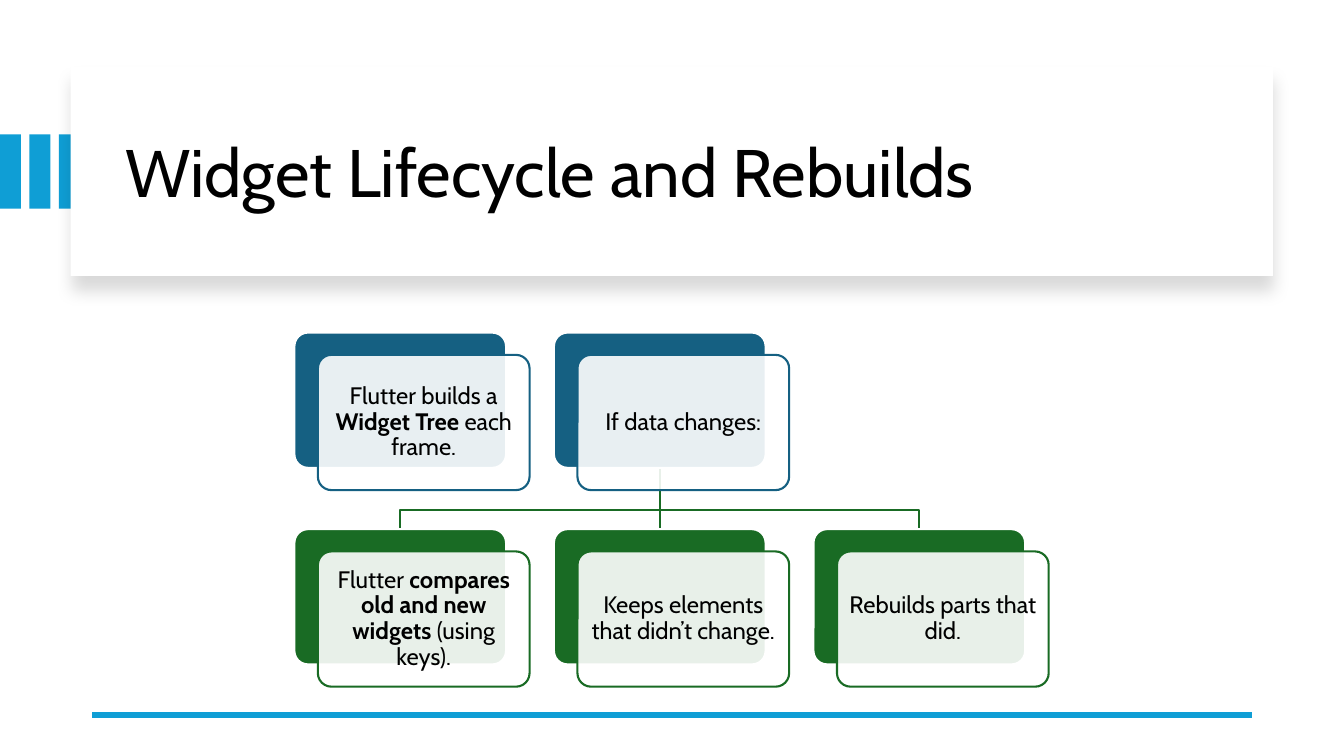
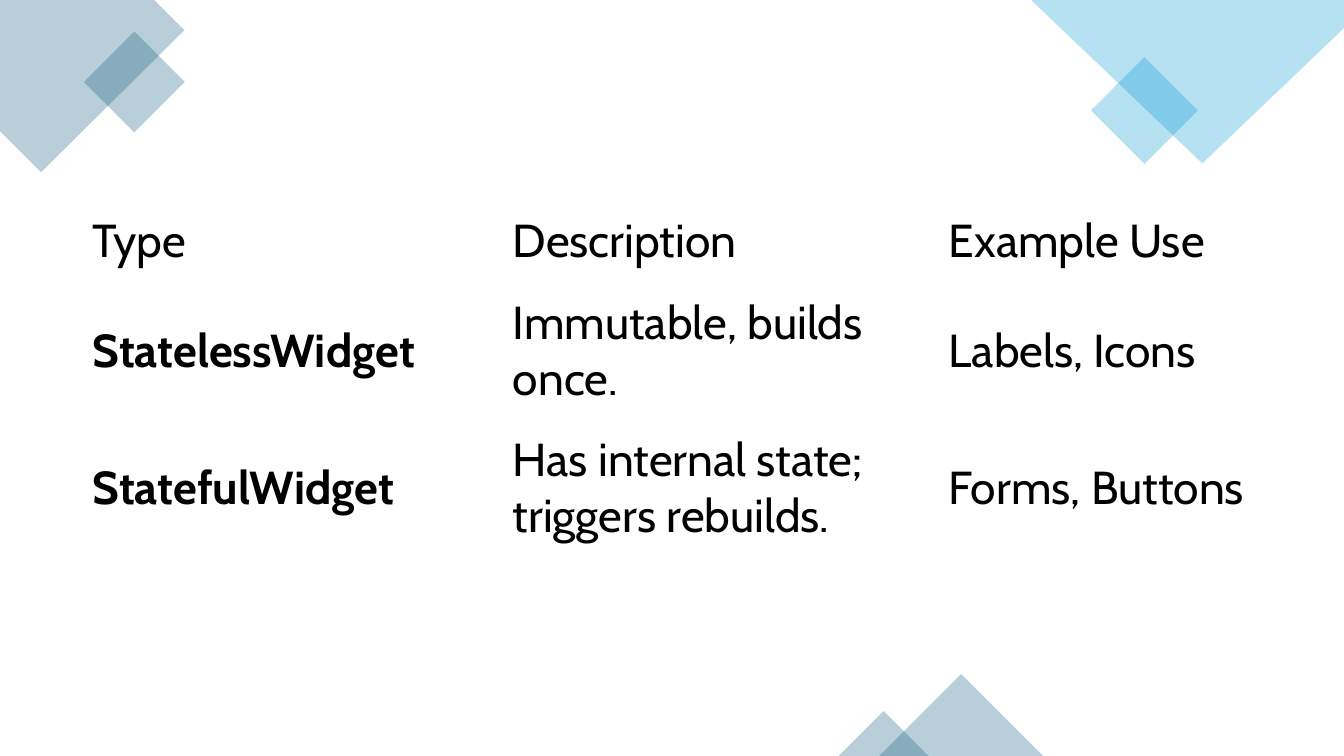
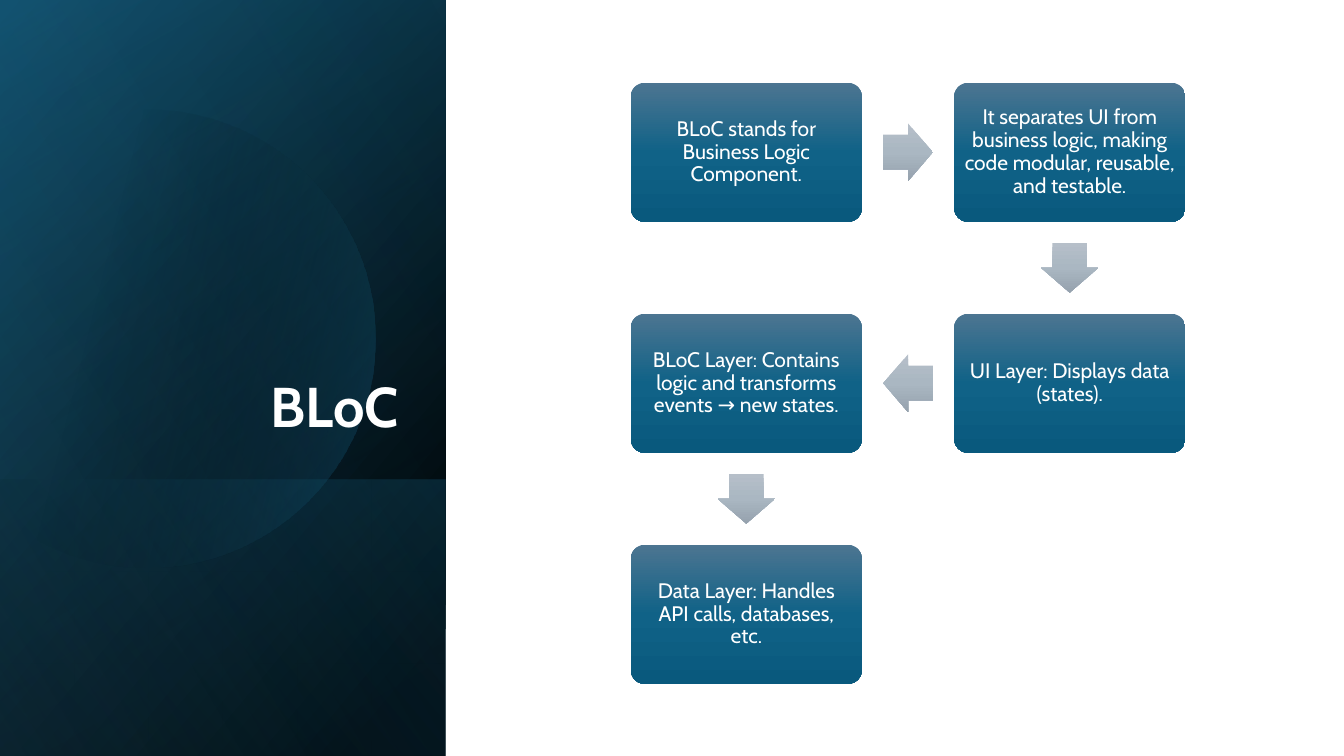
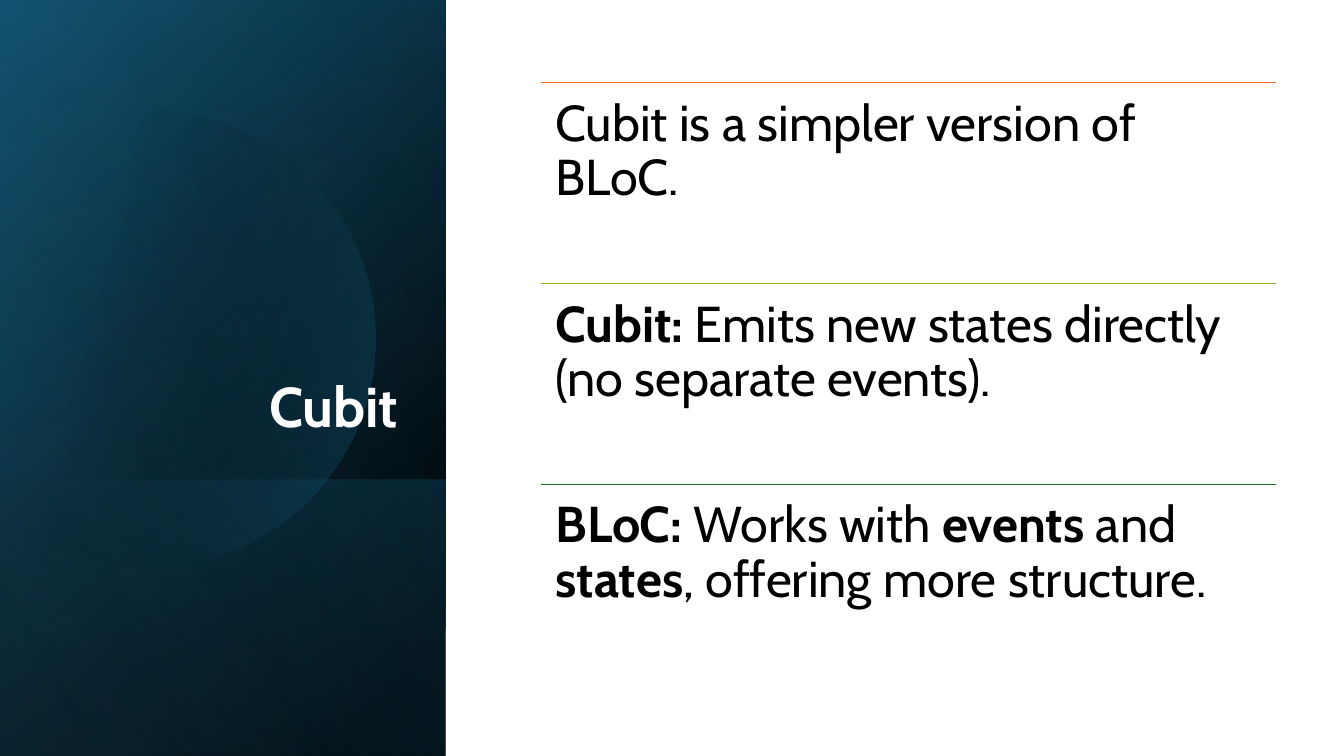
from itertools import pairwise
from math import acos, cos, pi, sin

from pptx import Presentation
from pptx.dml.color import RGBColor as Color
from pptx.enum.shapes import MSO_CONNECTOR as Connector, MSO_SHAPE as Shape
from pptx.enum.text import MSO_ANCHOR as Anchor, PP_ALIGN as Align
from pptx.oxml import parse_xml
from pptx.oxml.ns import nsdecls, qn
from pptx.util import Inches, Pt

WIDTH, HEIGHT = Inches(13.333), Inches(7.5)
COLUMNS, ROWS = 32, 18
FONT = "Cabin"
COLORS = {
    "black": "000000",
    "white": "FFFFFF",
    "sky": "0F9ED5",
    "pale sky": "46B1E1",
    "teal": "156082",
    "deep teal": "104862",
    "green": "196B24",
    "lime": "8EB21E",
    "orange": "E97132",
    "box top": "4C7591",
    "box middle": "106287",
    "box bottom": "09597D",
    "arrow top": "B6BFC9",
    "arrow middle": "AAB7C2",
    "arrow bottom": "96A2AE",
}
BOX_GRADIENT = ([(0, "box top", 100), (50, "box middle", 100), (100, "box bottom", 100)], 90)
ARROW_GRADIENT = ([(0, "arrow top", 100), (50, "arrow middle", 100), (100, "arrow bottom", 100)], 90)


def write(frame, text, size=17, color="black", align=Align.LEFT, bold=False, spacing=0.9):
    """Write one paragraph, with the parts between double asterisks in bold."""
    paragraph = frame.paragraphs[0]
    paragraph.alignment = align
    paragraph.line_spacing = spacing
    for index, part in enumerate(text.split("**")):
        if part:
            run = paragraph.add_run()
            run.text = part
            run.font.name = FONT
            run.font.size = Pt(size)
            run.font.bold = bold or index % 2 == 1
            run.font.color.rgb = Color.from_string(COLORS[color])


class Deck:
    """Holds the style, the grid and the current slide."""

    def __init__(self):
        self.presentation = Presentation()
        self.presentation.slide_width = WIDTH
        self.presentation.slide_height = HEIGHT
        self.slide = None

    def new_slide(self):
        """Start a slide on the blank layout."""
        self.slide = self.presentation.slides.add_slide(self.presentation.slide_layouts[6])

    def x(self, columns):
        """Turn grid columns into a length."""
        return round(columns * WIDTH / COLUMNS)

    def y(self, rows):
        """Turn grid rows into a length."""
        return round(rows * HEIGHT / ROWS)

    def place(self, left, top, width, height):
        """Turn a grid rectangle into lengths."""
        return self.x(left), self.y(top), self.x(width), self.y(height)

    def paint(self, shape, fill=None, alpha=100, gradient=None, line=None, weight=1.5):
        """Set the fill and outline of a shape and clear its shadow."""
        shape.shadow.inherit = False
        if fill:
            shape.fill.solid()
            shape.fill.fore_color.rgb = Color.from_string(COLORS[fill])
            if alpha < 100:
                tint = shape.element.spPr.find(qn("a:solidFill"))[0]
                tint.append(parse_xml(f'<a:alpha {nsdecls("a")} val="{alpha * 1000}"/>'))
        else:
            shape.fill.background()
        if gradient:
            stops, angle = gradient
            marks = "".join(
                f'<a:gs pos="{position * 1000}"><a:srgbClr val="{COLORS[color]}">'
                f'<a:alpha val="{opacity * 1000}"/></a:srgbClr></a:gs>'
                for position, color, opacity in stops
            )
            properties = shape.element.spPr
            properties.replace(properties.find(qn("a:noFill")), parse_xml(
                f'<a:gradFill {nsdecls("a")} rotWithShape="1"><a:gsLst>{marks}</a:gsLst>'
                f'<a:lin ang="{angle * 60000}" scaled="0"/></a:gradFill>'
            ))
        if line:
            shape.line.color.rgb = Color.from_string(COLORS[line])
            shape.line.width = Pt(weight)
        else:
            shape.line.fill.background()
        return shape

    def shape(self, kind, *area, adjustments=(), rotation=0, **style):
        """Add a preset shape."""
        shape = self.slide.shapes.add_shape(kind, *self.place(*area))
        for index, value in enumerate(adjustments):
            shape.adjustments[index] = value
        shape.rotation = rotation
        return self.paint(shape, **style)

    def outline(self, points, close=True, **style):
        """Add a freeform through grid points."""
        corners = [(self.x(column), self.y(row)) for column, row in points]
        builder = self.slide.shapes.build_freeform(*corners[0], scale=1.0)
        builder.add_line_segments(corners[1:], close=close)
        return self.paint(builder.convert_to_shape(), **style)

    def rule(self, left, right, row, color, weight):
        """Add a horizontal line."""
        line = self.slide.shapes.add_connector(
            Connector.STRAIGHT, self.x(left), self.y(row), self.x(right), self.y(row))
        line.line.color.rgb = Color.from_string(COLORS[color])
        line.line.width = Pt(weight)
        line.element.spPr.append(parse_xml(f'<a:effectLst {nsdecls("a")}/>'))

    def fill_text(self, shape, text, inset, anchor=Anchor.MIDDLE, **text_format):
        """Write wrapped text into a shape or text box."""
        frame = shape.text_frame
        frame.word_wrap = True
        frame.vertical_anchor = anchor
        frame.margin_left = frame.margin_right = self.x(inset)
        frame.margin_top = frame.margin_bottom = self.y(inset)
        write(frame, text, **text_format)

    def text(self, text, *area, inset=0.24, **text_format):
        """Add a text box."""
        self.fill_text(self.slide.shapes.add_textbox(*self.place(*area)), text, inset, **text_format)

    def table(self, rows, left, top, widths, heights):
        """Add a plain table with a bold first column below the header."""
        area = self.place(left, top, sum(widths), sum(heights))
        table = self.slide.shapes.add_table(len(heights), len(widths), *area).table
        table.first_row = table.horz_banding = False
        for column, width in zip(table.columns, widths):
            column.width = self.x(width)
        for row, height in zip(table.rows, heights):
            row.height = self.y(height)
        for row_index, row in enumerate(rows):
            for column_index, text in enumerate(row):
                cell = table.cell(row_index, column_index)
                cell.fill.background()
                cell.vertical_anchor = Anchor.MIDDLE
                cell.margin_left = cell.margin_right = self.x(0.43)
                cell.margin_top = cell.margin_bottom = self.y(0.22)
                write(cell.text_frame, text, size=33, spacing=1.0,
                      bold=row_index > 0 and column_index == 0)

    def banner(self, title):
        """Add the title card with its shadow, stripes and bottom rule."""
        for index in range(3):
            self.shape(Shape.RECTANGLE, 0.7 * index, 3.2, 0.5, 1.77, fill="sky")
        card = self.shape(Shape.RECTANGLE, 1.68, 1.6, 28.63, 4.97, fill="white")
        card.element.spPr.find(qn("a:effectLst")).append(parse_xml(
            f'<a:outerShdw {nsdecls("a")} blurRad="{Pt(11)}" dist="{Pt(10)}" dir="5400000">'
            f'<a:srgbClr val="{COLORS["black"]}"><a:alpha val="15000"/></a:srgbClr></a:outerShdw>'
        ))
        self.text(title, 2.74, 2.14, 26.71, 4.08, size=48)
        self.rule(2.2, 29.8, 17.02, "sky", 4.5)

    def sidebar(self, title):
        """Add the layered dark panel with its circle and title."""
        width, fold = 10.61, 11.42
        whole = (0, 0, width, ROWS)
        center_x, center_y, radius = 3.48, 8.06, 5.45
        reach = acos(-center_x / radius)
        steps = 90
        angles = [reach * (2 * step / steps - 1) for step in range(steps + 1)]
        arc = [(center_x + radius * cos(angle), center_y + radius * sin(angle)) for angle in angles]
        self.shape(Shape.RECTANGLE, *whole,
                   gradient=([(8, "black", 100), (100, "deep teal", 100)], 220))
        self.shape(Shape.RECTANGLE, *whole,
                   gradient=([(0, "black", 0), (99, "teal", 46)], 240))
        self.shape(Shape.RECTANGLE, 0, fold, width, ROWS - fold,
                   gradient=([(2, "teal", 29), (100, "black", 30)], 140))
        self.outline(arc, gradient=([(29, "black", 0), (100, "teal", 43)], 14))
        self.shape(Shape.RECTANGLE, *whole,
                   gradient=([(0, "black", 0), (99, "pale sky", 11)], 150))
        self.text(title, 1.54, 4.42, 8.18, 6.29, size=40, color="white", bold=True,
                  align=Align.RIGHT, anchor=Anchor.BOTTOM)

    def layered_card(self, left, top, width, height, color, text):
        """Add a coloured card with a translucent text card over it."""
        self.shape(Shape.ROUNDED_RECTANGLE, left, top, width, height,
                   adjustments=[0.1], fill=color, line="white")
        front = self.shape(Shape.ROUNDED_RECTANGLE, left + 0.56, top + 0.53, width, height,
                           adjustments=[0.1], fill="white", alpha=90, line=color)
        self.fill_text(front, text, 0.17, align=Align.CENTER)


def add_lifecycle(deck):
    """Build the slide on widget rebuilds."""
    deck.new_slide()
    deck.banner("Widget Lifecycle and Rebuilds")
    left, step, width, height = 7.01, 6.18, 5.04, 3.22
    parent_top, child_top, bend = 7.92, 12.6, 12.14
    lefts = [left + step * index for index in range(3)]
    centers = [column + width / 2 for column in lefts]
    parent_bottom = parent_top + height
    for center in reversed(centers):
        points = [(centers[1], parent_bottom), (centers[1], bend), (center, bend), (center, child_top)]
        deck.outline(points, close=False, line="green")
    levels = [
        (parent_top, "teal", ["Flutter builds a **Widget Tree** each frame.", "If data changes:"]),
        (child_top, "green", [
            "Flutter **compares old and new widgets** (using keys).",
            "Keeps elements that didn’t change.",
            "Rebuilds parts that did.",
        ]),
    ]
    for top, color, texts in levels:
        for column, text in zip(lefts, texts):
            deck.layered_card(column, top, width, height, color, text)


def add_widget_types(deck):
    """Build the slide with the table of widget types."""
    deck.new_slide()
    teal, sky = {"fill": "teal", "alpha": 30}, {"fill": "sky", "alpha": 30}
    deck.outline([(0, 0), (3.67, 0), (4.39, 0.72), (0.98, 4.1), (0, 3.12)], **teal)
    deck.shape(Shape.RECTANGLE, 2.35, 1.1, 1.7, 1.7, rotation=315, **teal)
    deck.shape(Shape.RECTANGLE, 26.35, 1.73, 1.8, 1.8, rotation=315, **sky)
    deck.outline([(24.55, 0), (32, 0), (32, 0.67), (28.63, 3.89)], **sky)
    for left, width in [(20.93, 3.91), (19.97, 2.14)]:
        deck.shape(Shape.ISOSCELES_TRIANGLE, left, ROWS - width / 2, width, width / 2, **teal)
    rows = [
        ["Type", "Description", "Example Use"],
        ["StatelessWidget", "Immutable, builds once.", "Labels, Icons"],
        ["StatefulWidget", "Has internal state; triggers rebuilds.", "Forms, Buttons"],
    ]
    deck.table(rows, 1.78, 4.78, [10, 10.38, 8.06], [1.94, 3.26, 3.26])


def add_bloc(deck):
    """Build the slide with the winding chain of BLoC steps."""
    deck.new_slide()
    deck.sidebar("BLoC")
    left, top, across, down, width, height = 15.02, 1.97, 7.7, 5.5, 5.5, 3.31
    length, breadth = 1.18, 1.37
    steps = [
        (0, 0, "BLoC stands for Business Logic Component."),
        (1, 0, "It separates UI from business logic, making code modular, reusable, and testable."),
        (1, 1, "UI Layer: Displays data (states)."),
        (0, 1, "BLoC Layer: Contains logic and transforms events → new states."),
        (0, 2, "Data Layer: Handles API calls, databases, etc."),
    ]
    arrows = {(1, 0): Shape.RIGHT_ARROW, (-1, 0): Shape.LEFT_ARROW, (0, 1): Shape.DOWN_ARROW}
    for column, row, text in steps:
        box = deck.shape(Shape.ROUNDED_RECTANGLE, left + across * column, top + down * row,
                         width, height, adjustments=[0.1], gradient=BOX_GRADIENT)
        deck.fill_text(box, text, 0.14, size=15, color="white", align=Align.CENTER)
    for (column, row, _), (next_column, next_row, _) in pairwise(steps):
        middle_x = left + width / 2 + across * (column + next_column) / 2
        middle_y = top + height / 2 + down * (row + next_row) / 2
        wide, tall = (length, breadth) if row == next_row else (breadth, length)
        deck.shape(arrows[next_column - column, next_row - row],
                   middle_x - wide / 2, middle_y - tall / 2, wide, tall,
                   adjustments=[0.6, 0.5], gradient=ARROW_GRADIENT)


def add_cubit(deck):
    """Build the slide that compares Cubit with BLoC."""
    deck.new_slide()
    deck.sidebar("Cubit")
    left, top, width, step = 12.87, 1.97, 17.5, 4.78
    points = [
        ("orange", "Cubit is a simpler version of BLoC."),
        ("lime", "**Cubit:** Emits new states directly (no separate events)."),
        ("green", "**BLoC:** Works with **events** and **states**, offering more structure."),
    ]
    for index, (color, text) in enumerate(points):
        row = top + step * index
        deck.rule(left, left + width, row, color, 1)
        deck.text(text, left, row, width, step, inset=0.36, size=36, anchor=Anchor.TOP)


def main():
    """Build and save the presentation."""
    deck = Deck()
    for add_slide in (add_lifecycle, add_widget_types, add_bloc, add_cubit):
        add_slide(deck)
    deck.presentation.save("out.pptx")


if __name__ == "__main__":
    main()
